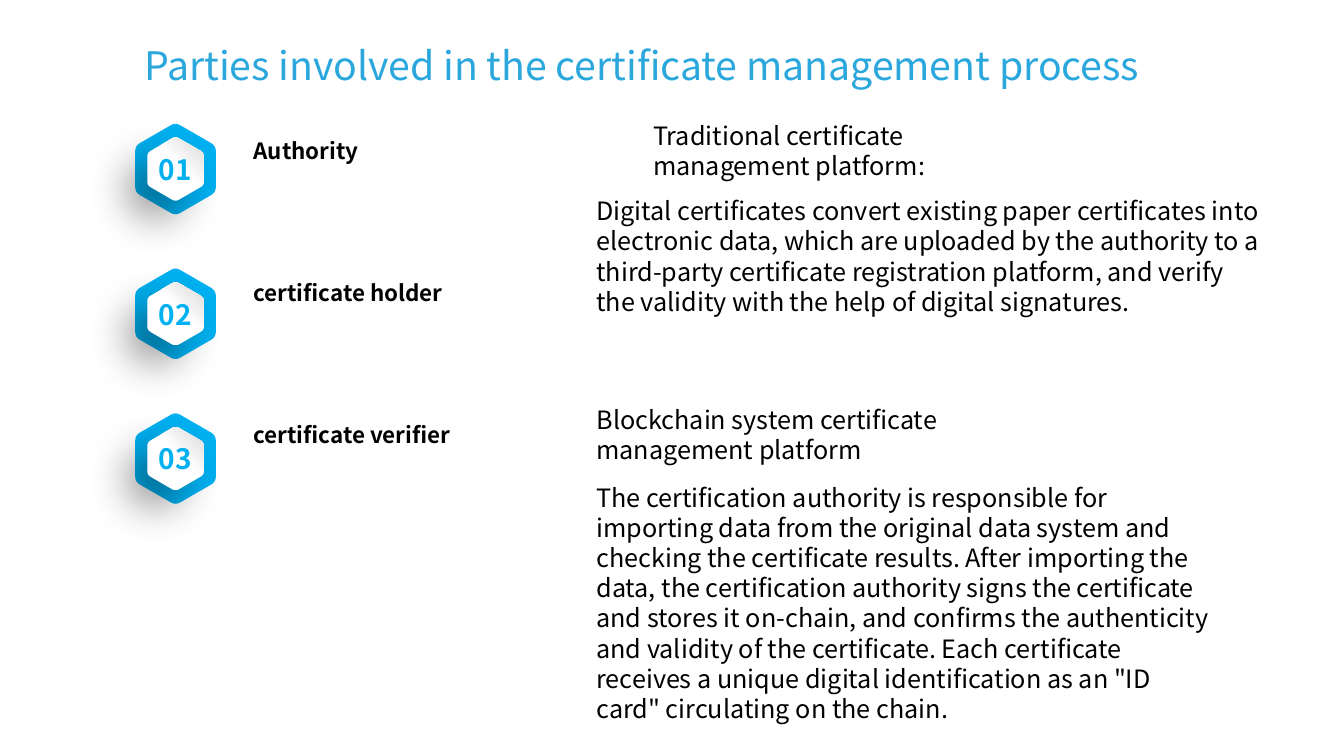
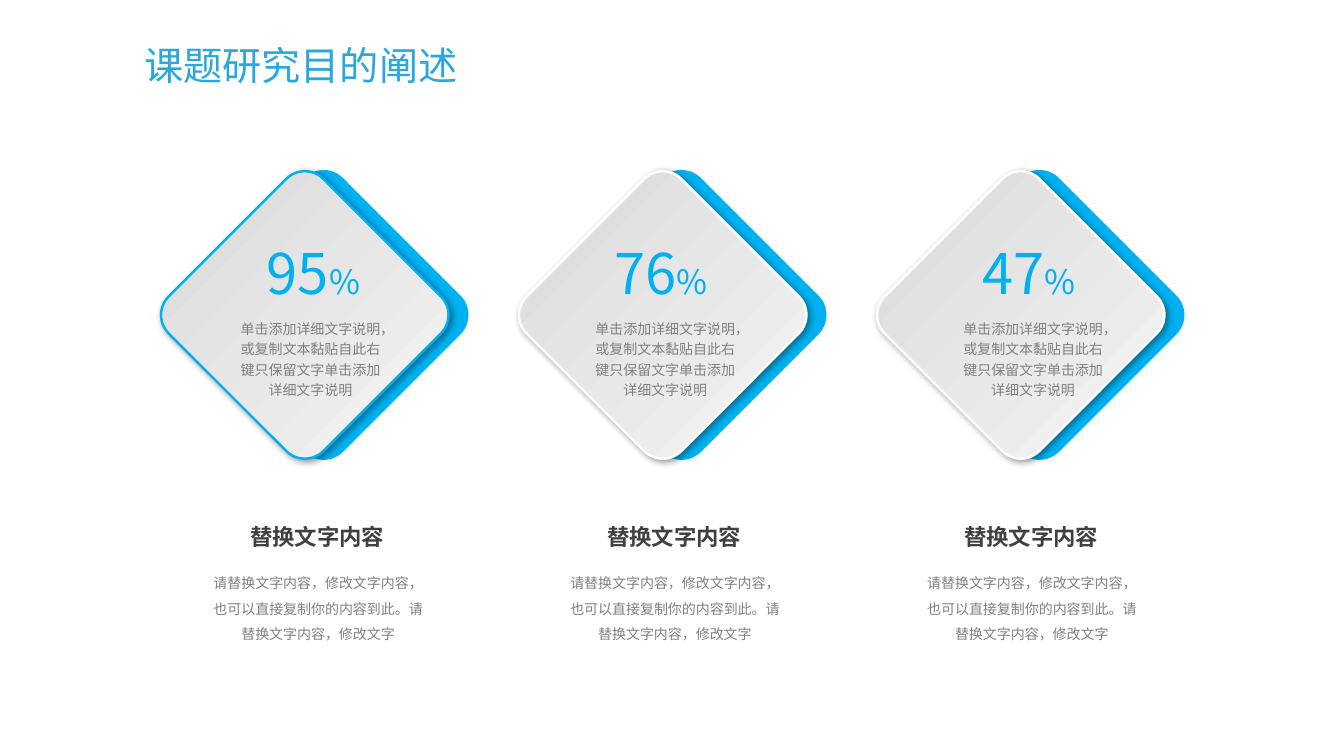
from math import sqrt

from lxml.etree import SubElement
from pptx import Presentation
from pptx.dml.color import RGBColor
from pptx.enum.shapes import MSO_SHAPE
from pptx.enum.text import MSO_ANCHOR, PP_ALIGN
from pptx.oxml.ns import qn
from pptx.util import Pt

FONT = "Noto Sans CJK SC"
BLUE = "00B0F0"
TITLE_BLUE = "2AA7DC"
BLACK = "000000"
GRAY = "808080"
DARK_GRAY = "404040"
SILVER = "D9D9D9"
PALE = "F5F5F5"
WHITE = "FFFFFF"

NO_MARGINS = dict.fromkeys(
    ("margin_left", "margin_top", "margin_right", "margin_bottom"), 0)
CENTERED = {"alignment": PP_ALIGN.CENTER}

PARTIES = ["Authority", "certificate holder", "certificate verifier"]
PLATFORM_TEXTS = [
    (459.4, 82.1, 229.7, 51.1, "Traditional certificate management platform:"),
    (419, 136.1, 491, 159.8,
     "Digital certificates convert existing paper certificates into electronic "
     "data, which are uploaded by the authority to a third-party certificate "
     "registration platform, and verify the validity with the help of digital "
     "signatures."),
    (419, 285.1, 316.1, 51.1, "Blockchain system certificate management platform"),
    (419, 340.6, 457.9, 181.4,
     "The certification authority is responsible for importing data from the "
     "original data system and checking the certificate results. After "
     "importing the data, the certification authority signs the certificate "
     "and stores it on-chain, and confirms the authenticity and validity of "
     "the certificate. Each certificate receives a unique digital "
     "identification as an \"ID card\" circulating on the chain."),
]
GOALS = [("95", 167, 162, BLUE), ("76", 415.4, 415.4, WHITE), ("47", 678.2, 678.2, WHITE)]
GOAL_DETAIL = "单击添加详细文字说明，或复制文本黏贴自此右键只保留文字单击添加详细文字说明"
GOAL_HEADING = "替换文字内容"
GOAL_CAPTION = "请替换文字内容，修改文字内容，也可以直接复制你的内容到此。请替换文字内容，修改文字"


def color(value):
    return RGBColor.from_string(value)


def set_values(target, values):
    for name, value in values.items():
        setattr(target, name, value)


def place(shape, left, top, width, height):
    values = {"left": left, "top": top, "width": width, "height": height}
    set_values(shape, {name: Pt(value) for name, value in values.items()})


def write(shape, runs, text_color, bold=False, paragraph_values=None, frame_values=None):
    frame = shape.text_frame
    set_values(frame, {"word_wrap": True, "vertical_anchor": MSO_ANCHOR.TOP,
                       **(frame_values or {})})
    paragraph = frame.paragraphs[0]
    set_values(paragraph, {"alignment": PP_ALIGN.LEFT, **(paragraph_values or {})})
    for text, size in runs:
        run = paragraph.add_run()
        run.text = text
        set_values(run.font, {"name": FONT, "size": Pt(size), "bold": bold})
        run.font.color.rgb = color(text_color)
        SubElement(run.font._element, qn("a:ea"), typeface=FONT)


def add_text(slide, box, runs, text_color, **formats):
    shape = slide.shapes.add_textbox(*map(Pt, box))
    write(shape, runs, text_color, **formats)


def add_title_slide(presentation, text):
    slide = presentation.slides.add_slide(presentation.slide_layouts[5])
    title = slide.shapes.title
    place(title, 95.8, 25.9, 747.4, 41)
    write(title, [(text, 28)], TITLE_BLUE)
    return slide


def paint(shape, fill_color, line_color=None):
    shape.shadow.inherit = False
    shape.fill.solid()
    shape.fill.fore_color.rgb = color(fill_color)
    if line_color:
        shape.line.color.rgb = color(line_color)
        shape.line.width = Pt(1.75)
    else:
        shape.line.fill.background()


def paint_gradient(shape, stops, angle):
    shape.fill.gradient()
    shape.fill.gradient_angle = angle
    for stop, (position, stop_color) in zip(shape.fill.gradient_stops, stops):
        stop.position = position
        stop.color.rgb = color(stop_color)


def add_shadow(shape, blur, distance, direction):
    effects = shape._element.spPr.find(qn("a:effectLst"))
    shadow = SubElement(effects, qn("a:outerShdw"), blurRad=str(Pt(blur)),
                        dist=str(Pt(distance)), dir=str(direction * 60000),
                        algn="ctr", rotWithShape="0")
    shadow_color = SubElement(shadow, qn("a:srgbClr"), val=BLACK)
    SubElement(shadow_color, qn("a:alpha"), val="40000")


def rounded_outline(corners, cut, steps=6):
    points = []
    for index, (x, y) in enumerate(corners):
        before = corners[index - 1]
        after = corners[(index + 1) % len(corners)]
        start, end = [(x + (a - x) * cut, y + (b - y) * cut) for a, b in (before, after)]
        for step in range(steps + 1):
            t = step / steps
            points.append(tuple(
                (1 - t) ** 2 * p + 2 * t * (1 - t) * q + t ** 2 * r
                for p, q, r in zip(start, (x, y), end)))
    return points


def add_hexagon(slide, center_x, center_y, width, fill_color):
    radius = width / sqrt(3)
    half = width / 2
    offsets = [(0, -radius), (half, -radius / 2), (half, radius / 2),
               (0, radius), (-half, radius / 2), (-half, -radius / 2)]
    corners = [(center_x + x, center_y + y) for x, y in offsets]
    points = [(Pt(x), Pt(y)) for x, y in rounded_outline(corners, 0.12)]
    builder = slide.shapes.build_freeform(*points[0])
    builder.add_line_segments(points[1:], close=True)
    shape = builder.convert_to_shape()
    paint(shape, fill_color)
    return shape


def add_number_badge(slide, center_y, number):
    center_x = 125.4
    add_hexagon(slide, center_x, center_y, 57.6, BLUE)
    face = add_hexagon(slide, center_x, center_y, 40.3, WHITE)
    paint_gradient(face, [(0.55, WHITE), (1, SILVER)], 45)
    add_shadow(face, 30, 20, 135)
    add_text(slide, (center_x - 26.3, center_y - 12.6, 52.6, 25.2), [(number, 20)], BLUE,
             bold=True, paragraph_values=CENTERED,
             frame_values={"vertical_anchor": MSO_ANCHOR.MIDDLE})


def add_diamond(slide, left, fill_color, line_color):
    shape = slide.shapes.add_shape(
        MSO_SHAPE.ROUNDED_RECTANGLE, *map(Pt, (left, 146.9, 156.2, 156.2)))
    shape.adjustments[0] = 0.12
    shape.rotation = 45
    paint(shape, fill_color, line_color)
    return shape


def add_goal(slide, index, number, number_left, detail_left, edge_color):
    left = 139.6 + 255.7 * index
    add_diamond(slide, left + 13.4, BLUE, BLUE)
    face = add_diamond(slide, left, SILVER, edge_color)
    paint_gradient(face, [(0, SILVER), (1, PALE)], 0)
    add_shadow(face, 5, 2, 45)
    add_text(slide, (number_left, 167, 113.8, 55.4), [(number, 40), ("%", 24)], BLUE,
             paragraph_values=CENTERED)
    add_text(slide, (detail_left, 223.2, 119.5, 65.5), [(GOAL_DETAIL, 10)], GRAY,
             paragraph_values={**CENTERED, "line_spacing": 1.2})
    caption_left = 147.6 + 254.9 * index
    spaced = {**CENTERED, "space_before": Pt(7.5)}
    add_text(slide, (caption_left + 12.2, 373.7, 133.9, 19.4), [(GOAL_HEADING, 16)],
             DARK_GRAY, bold=True, paragraph_values=spaced, frame_values=NO_MARGINS)
    add_text(slide, (caption_left, 404.6, 159.1, 52.6), [(GOAL_CAPTION, 10)], GRAY,
             paragraph_values={**spaced, "line_spacing": 1.5}, frame_values=NO_MARGINS)


def build_parties(presentation):
    slide = add_title_slide(presentation, "Parties involved in the certificate management process")
    for index, party in enumerate(PARTIES):
        add_number_badge(slide, 120.8 + 103.4 * index, f"{index + 1:02}")
        add_text(slide, (174.2, 94.3 + 101.5 * index, 160, 26.6), [(party, 16)], BLACK, bold=True)
    for *box, text in PLATFORM_TEXTS:
        add_text(slide, box, [(text, 18)], BLACK)


def build_goals(presentation):
    slide = add_title_slide(presentation, "课题研究目的阐述")
    for index, goal in enumerate(GOALS):
        add_goal(slide, index, *goal)


def main():
    presentation = Presentation()
    set_values(presentation, {"slide_width": Pt(960), "slide_height": Pt(540)})
    build_parties(presentation)
    build_goals(presentation)
    presentation.save("out.pptx")


if __name__ == "__main__":
    main()
